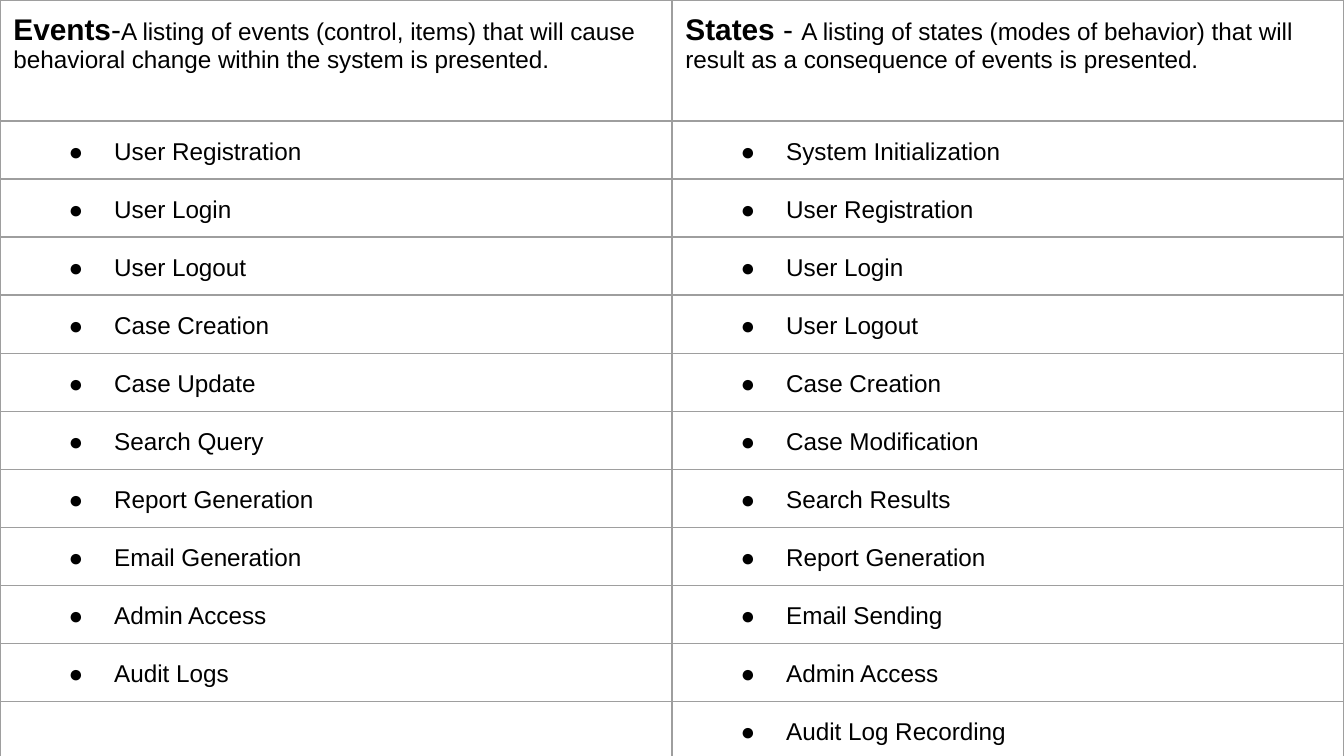
from lxml import etree
from pptx import Presentation
from pptx.dml.color import RGBColor
from pptx.oxml.ns import qn
from pptx.util import Inches, Pt

# Content
HEADERS = [
    [("Events", "head", True), ("-", "head", False),
     ("A listing of events (control, items) that will cause behavioral "
      "change within the system is presented.", "body", False)],
    [("States ", "head", True), ("- ", "head", False),
     ("A listing of states (modes of behavior) that will result as a "
      "consequence of events is presented.", "body", False)],
]
EVENTS = ["User Registration", "User Login", "User Logout", "Case Creation",
          "Case Update", "Search Query", "Report Generation",
          "Email Generation", "Admin Access", "Audit Logs"]
STATES = ["System Initialization", "User Registration", "User Login",
          "User Logout", "Case Creation", "Case Modification",
          "Search Results", "Report Generation", "Email Sending",
          "Admin Access", "Audit Log Recording"]

# Theme and layout
THEME = {"font": "Arial", "text": "000000", "border": "9E9E9E",
         "head": 16, "body": 13, "border_width": 0.75}
SLIDE_W = 10
SLIDE_H = SLIDE_W * 9 / 16
HEAD_H, ROW_H, MARGIN = 0.9, 0.43, 0.1
BULLET_LEFT, BULLET_HANG = 0.75, 0.34


def add_run(p, text, size, bold=False):
    r = p.add_run()
    r.text = text
    r.font.name = THEME["font"]
    r.font.size = Pt(THEME[size])
    r.font.bold = bold
    r.font.color.rgb = RGBColor.from_string(THEME["text"])


def add_bullet(p):
    p.line_spacing = 1.15
    pPr = p._p.get_or_add_pPr()
    pPr.set("marL", str(Inches(BULLET_LEFT)))
    pPr.set("indent", str(-Inches(BULLET_HANG)))
    color = etree.SubElement(pPr, qn("a:buClr"))
    etree.SubElement(color, qn("a:srgbClr"), val=THEME["text"])
    etree.SubElement(pPr, qn("a:buFont"), typeface=THEME["font"])
    etree.SubElement(pPr, qn("a:buChar"), char="●")


def format_cell(cell):
    cell.margin_left = cell.margin_right = Inches(MARGIN)
    cell.margin_top = cell.margin_bottom = Inches(MARGIN)
    tcPr = cell._tc.get_or_add_tcPr()
    for side in ("lnL", "lnR", "lnT", "lnB"):
        ln = etree.SubElement(tcPr, qn(f"a:{side}"),
                              w=str(Pt(THEME["border_width"])))
        fill = etree.SubElement(ln, qn("a:solidFill"))
        etree.SubElement(fill, qn("a:srgbClr"), val=THEME["border"])
    cell.fill.background()


def main():
    prs = Presentation()
    prs.slide_width, prs.slide_height = Inches(SLIDE_W), Inches(SLIDE_H)
    s = prs.slides.add_slide(prs.slide_layouts[6])

    # Table grid
    columns = [EVENTS, STATES]
    n_rows = 1 + max(map(len, columns))
    table = s.shapes.add_table(
        n_rows, len(columns), 0, 0, Inches(SLIDE_W),
        Inches(HEAD_H + ROW_H * (n_rows - 1))).table
    table.first_row = table.horz_banding = False
    for i, row in enumerate(table.rows):
        row.height = Inches(ROW_H if i else HEAD_H)
    for cell in table.iter_cells():
        format_cell(cell)

    # Headings and bulleted items
    for col, (header, items) in enumerate(zip(HEADERS, columns)):
        p = table.cell(0, col).text_frame.paragraphs[0]
        for text, size, bold in header:
            add_run(p, text, size, bold)
        for row in range(1, n_rows):
            p = table.cell(row, col).text_frame.paragraphs[0]
            if row <= len(items):
                add_bullet(p)
                add_run(p, items[row - 1], "body")
            else:  # keeps the unused cell from stretching its row
                etree.SubElement(p._p, qn("a:endParaRPr"),
                                 sz=str(THEME["body"] * 100))

    prs.save("out.pptx")


if __name__ == "__main__":
    main()
